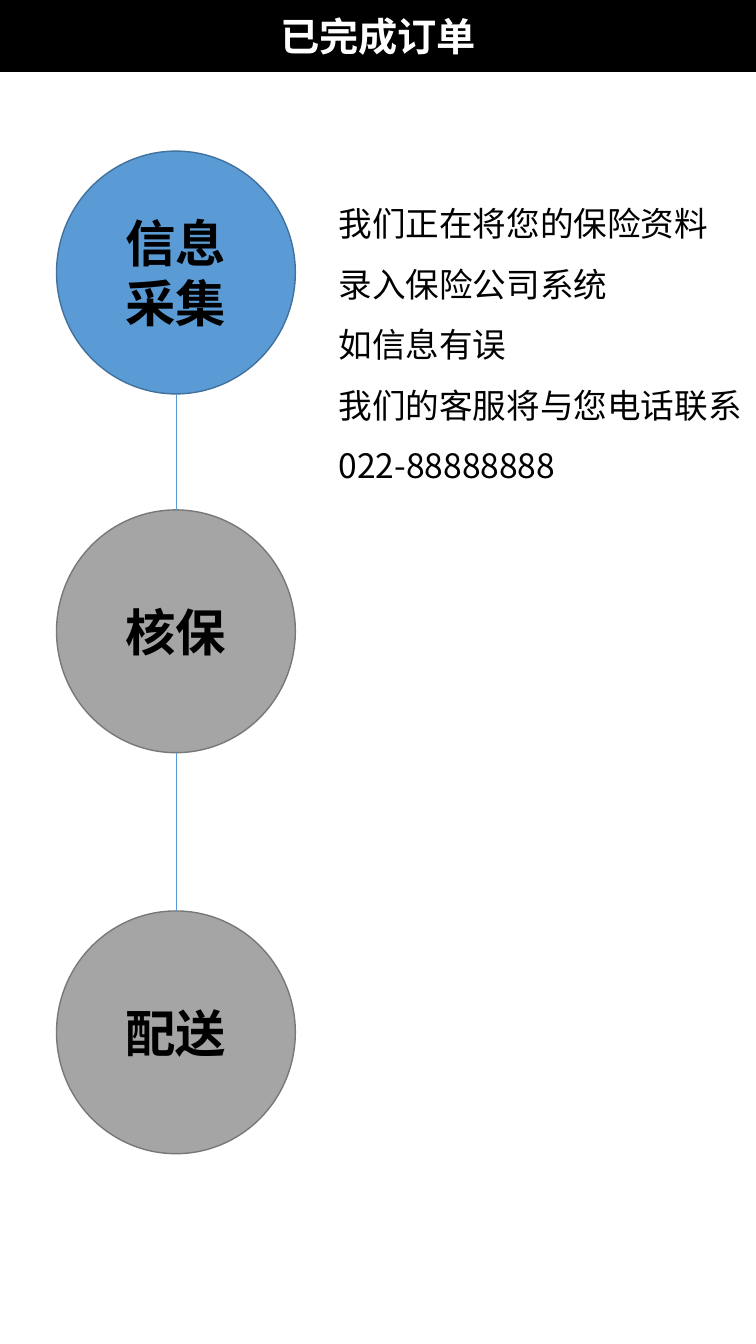
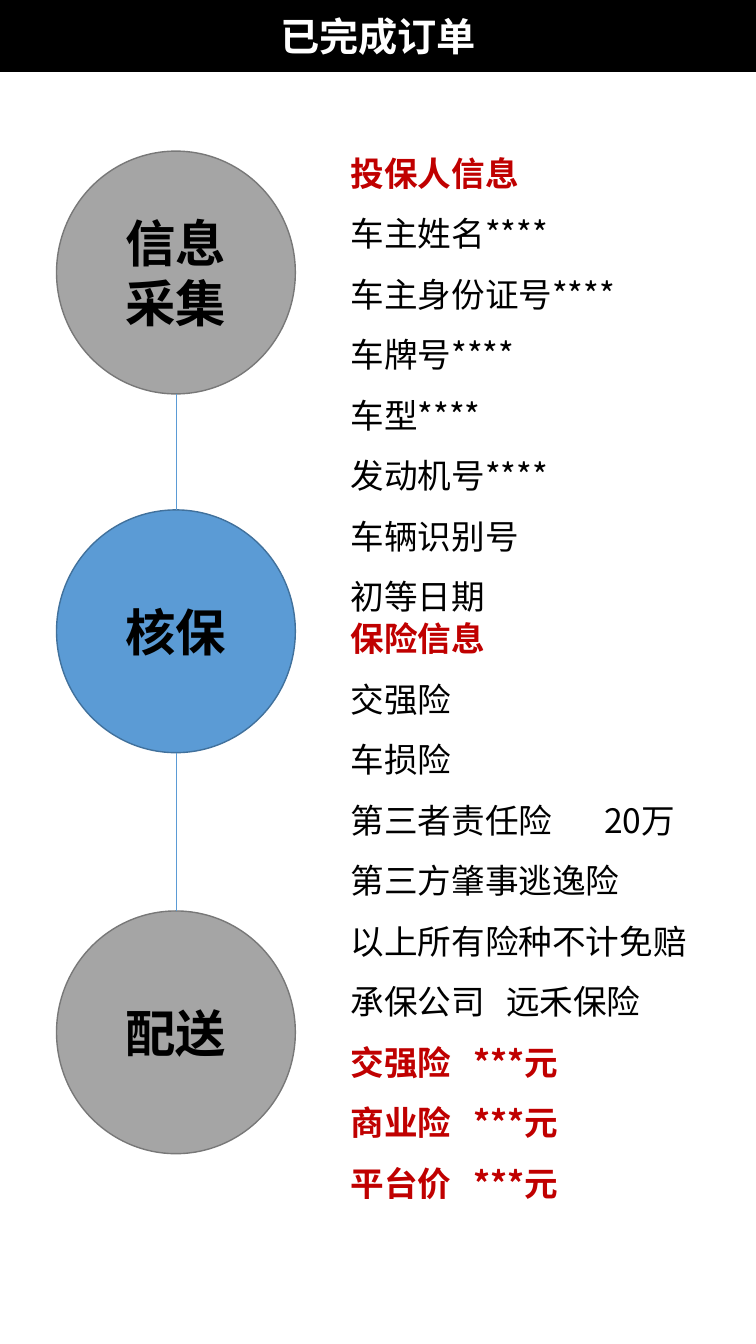
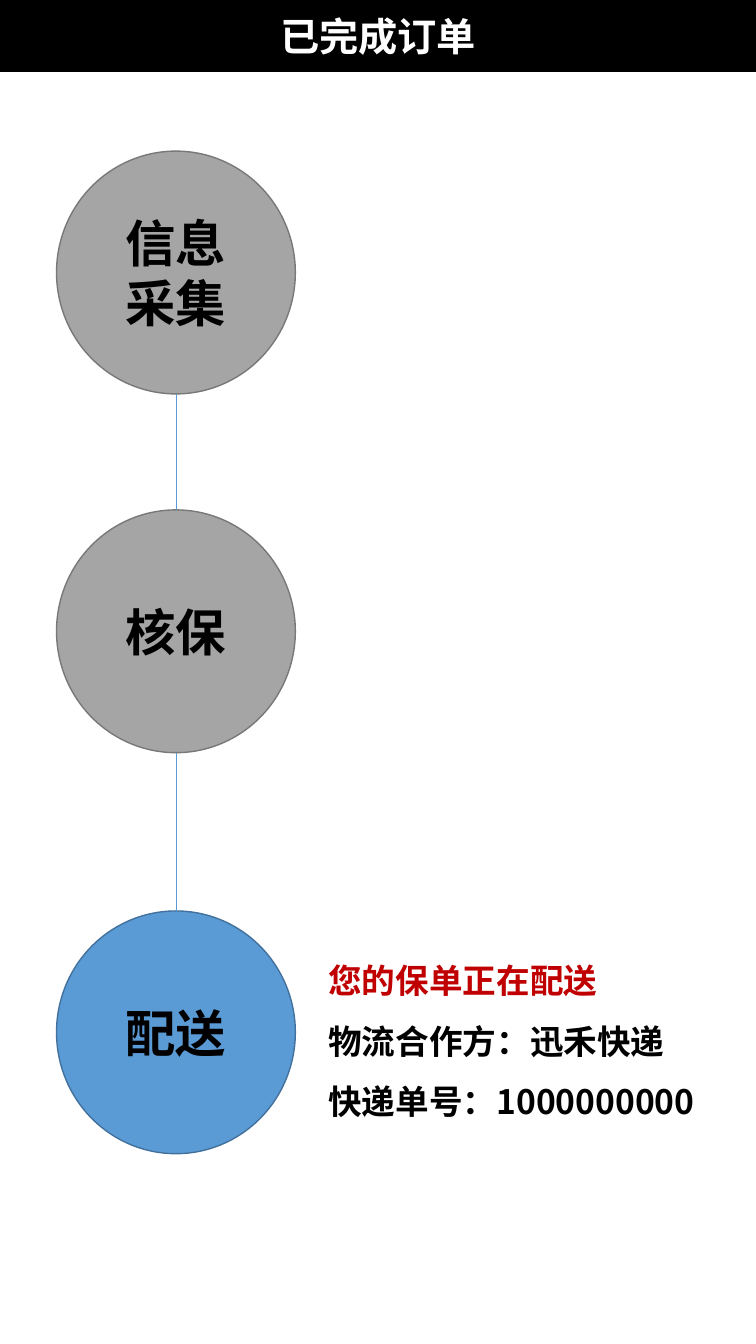
import pptx
import pptx.dml.color
import pptx.enum.shapes
import pptx.enum.text
import pptx.util
from lxml import etree
from pptx.oxml.ns import qn

Pt = pptx.util.Pt
ALIGN = pptx.enum.text.PP_ALIGN
ANCHOR = pptx.enum.text.MSO_ANCHOR
SHAPES = pptx.enum.shapes.MSO_SHAPE

# Shared style
SLIDE_WIDTH, SLIDE_HEIGHT = 540, 960.5
FONT = "Noto Sans CJK SC"
BLACK, WHITE, RED, BLUE = "000000", "FFFFFF", "C00000", "5B9BD5"
ACTIVE = {"fill": BLUE, "line": "41719C"}
WAITING = {"fill": "A5A5A5", "line": "787878"}
TITLE_FORMAT = {"size": Pt(28), "bold": True}
STEP_FORMAT = {"size": Pt(36), "bold": True}
BODY_FORMAT = {"size": Pt(24), "bold": False}
STRONG_FORMAT = {"size": Pt(24), "bold": True}

# Shared content
TITLE = "已完成订单"
TITLE_BOX = (0, 0, SLIDE_WIDTH, 51)
STEPS = ["信息采集", "核保", "配送"]
STEP_TOPS = [0, 256.4, 543]
STEP_SIZE = (170.6, 173.5)
STEPS_ORIGIN = (40.4, 108)

# Each line of detail: text, colour, format, tab stop
WAITING_LINES = [(text, BLACK, BODY_FORMAT, None) for text in (
    "我们正在将您的保险资料", "录入保险公司系统", "如信息有误",
    "我们的客服将与您电话联系", "022-88888888")]
OWNER_LINES = [("投保人信息", RED, STRONG_FORMAT, None)] + [
    (text, BLACK, BODY_FORMAT, None) for text in (
        "车主姓名****", "车主身份证号****", "车牌号****", "车型****",
        "发动机号****", "车辆识别号", "初等日期")]
POLICY_LINES = [
    ("保险信息", RED, STRONG_FORMAT, None),
    ("交强险", BLACK, BODY_FORMAT, None),
    ("车损险", BLACK, BODY_FORMAT, None),
    ("第三者责任险\t20万", BLACK, BODY_FORMAT, 181),
    ("第三方肇事逃逸险", BLACK, BODY_FORMAT, None),
    ("以上所有险种不计免赔", BLACK, BODY_FORMAT, None),
    ("承保公司\t远禾保险", BLACK, BODY_FORMAT, 111),
] + [(f"{name}\t***元", RED, STRONG_FORMAT, 88)
     for name in ("交强险", "商业险", "平台价")]
DELIVERY_LINES = [
    ("您的保单正在配送", RED, STRONG_FORMAT, None),
    ("物流合作方：迅禾快递", BLACK, STRONG_FORMAT, None),
    ("快递单号：1000000000", BLACK, STRONG_FORMAT, None),
]

# Each slide: active step, then its detail blocks as (left, top, lines)
SLIDES = [
    (0, [(234.7, 127.4, WAITING_LINES)]),
    (1, [(243.4, 91.4, OWNER_LINES), (243.4, 424, POLICY_LINES)]),
    (2, [(227.5, 668.2, DELIVERY_LINES)]),
]


def paint(color_format, value):
    color_format.rgb = pptx.dml.color.RGBColor.from_string(value)


def write(paragraph, text, color, formats):
    run = paragraph.add_run()
    run.text = text
    for name, value in formats.items():
        setattr(run.font, name, value)
    paint(run.font.color, color)
    run.font.name = FONT
    properties = run._r.get_or_add_rPr()
    etree.SubElement(properties, qn("a:ea"), typeface=FONT)


def add_tab_stop(paragraph, position):
    properties = paragraph._p.get_or_add_pPr()
    tab_list = etree.SubElement(properties, qn("a:tabLst"))
    etree.SubElement(tab_list, qn("a:tab"), pos=str(Pt(position)), algn="l")


def add_label_shape(slide, kind, box, colors, text, text_color, formats):
    shape = slide.shapes.add_shape(kind, *map(Pt, box))
    shape.shadow.inherit = False
    shape.fill.solid()
    paint(shape.fill.fore_color, colors["fill"])
    paint(shape.line.color, colors["line"])
    shape.line.width = Pt(1)
    frame = shape.text_frame
    frame.word_wrap = True
    frame.vertical_anchor = ANCHOR.MIDDLE
    frame.paragraphs[0].alignment = ALIGN.CENTER
    write(frame.paragraphs[0], text, text_color, formats)
    return shape


def add_title_band(slide, box):
    add_label_shape(slide, SHAPES.RECTANGLE, box,
                    {"fill": BLACK, "line": BLACK}, TITLE, WHITE, TITLE_FORMAT)


def add_details(slide, left, top, lines):
    # The box runs to the slide's right edge; each line is 43.2 pt high
    box = (left, top, SLIDE_WIDTH - left, 7.2 + 43.2 * len(lines))
    frame = slide.shapes.add_textbox(*map(Pt, box)).text_frame
    frame.word_wrap = True
    frame.auto_size = pptx.enum.text.MSO_AUTO_SIZE.SHAPE_TO_FIT_TEXT
    for index, (text, color, formats, tab_stop) in enumerate(lines):
        paragraph = frame.add_paragraph() if index else frame.paragraphs[0]
        paragraph.line_spacing = 1.5
        if tab_stop:
            add_tab_stop(paragraph, tab_stop)
        write(paragraph, text, color, formats)


def add_steps(slide, origin, active):
    left, top = origin
    width, height = STEP_SIZE
    circles = [
        add_label_shape(slide, SHAPES.OVAL, (left, top + offset, width, height),
                        ACTIVE if index == active else WAITING,
                        text, BLACK, STEP_FORMAT)
        for index, (text, offset) in enumerate(zip(STEPS, STEP_TOPS))]
    # Lines from the bottom of each circle to the top of the next
    for upper, lower in zip(circles, circles[1:]):
        center = upper.left + upper.width // 2
        connector = slide.shapes.add_connector(
            pptx.enum.shapes.MSO_CONNECTOR.STRAIGHT,
            center, upper.top + upper.height, center, lower.top)
        connector.end_connect(lower, 0)
        paint(connector.line.color, BLUE)
        connector.line.width = Pt(0.5)
        etree.SubElement(connector._element.spPr, qn("a:effectLst"))


def main():
    presentation = pptx.Presentation()
    presentation.slide_width = Pt(SLIDE_WIDTH)
    presentation.slide_height = Pt(SLIDE_HEIGHT)
    for active, blocks in SLIDES:
        slide = presentation.slides.add_slide(presentation.slide_layouts[6])
        add_title_band(slide, TITLE_BOX)
        for left, top, lines in blocks:
            add_details(slide, left, top, lines)
        add_steps(slide, STEPS_ORIGIN, active)
    presentation.save("out.pptx")


if __name__ == "__main__":
    main()
